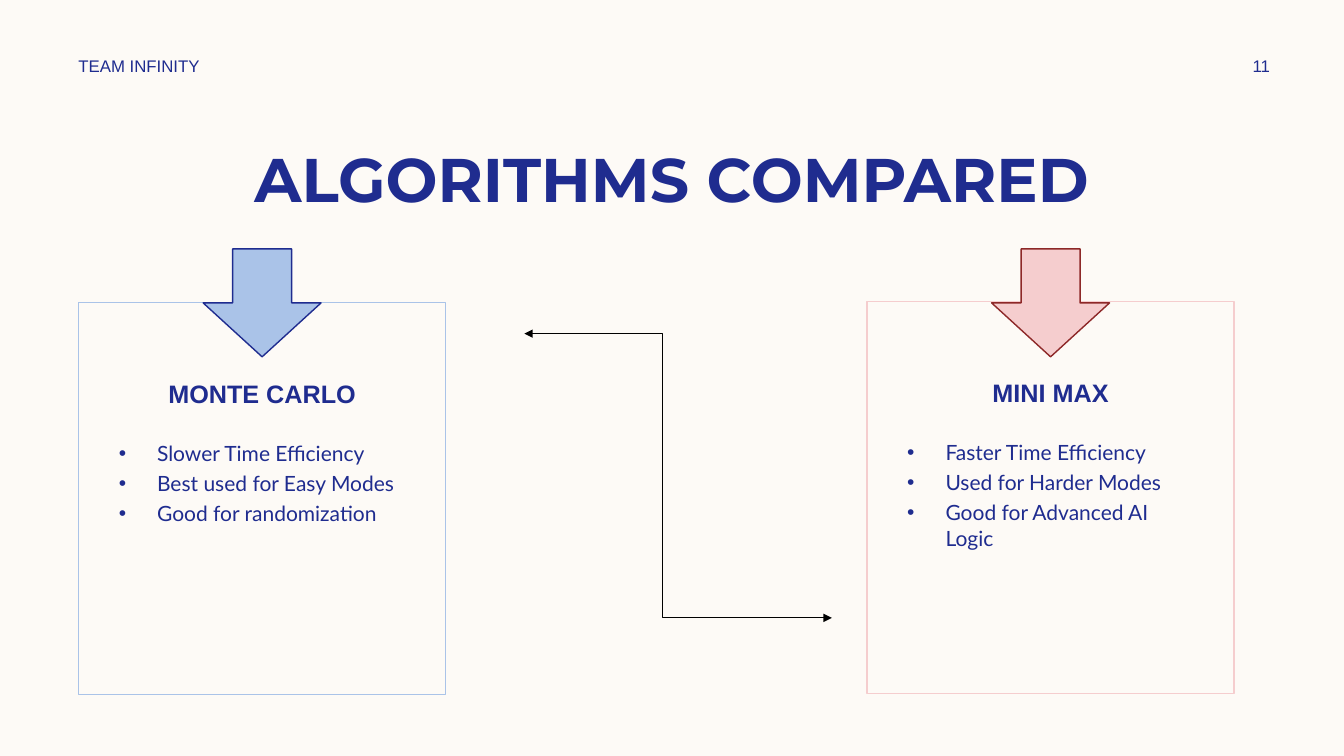
import pptx
import pptx.util
import pptx.dml.color
import pptx.enum.shapes
import pptx.enum.text
import pptx.oxml
import pptx.oxml.ns

Inches = pptx.util.Inches
Pt = pptx.util.Pt
RGBColor = pptx.dml.color.RGBColor
SHAPE = pptx.enum.shapes.MSO_SHAPE
ALIGN = pptx.enum.text.PP_ALIGN
ANCHOR = pptx.enum.text.MSO_ANCHOR

CREAM = RGBColor(0xFD, 0xFA, 0xF6)
NAVY = RGBColor(0x1F, 0x2C, 0x8F)
SKY = RGBColor(0xAA, 0xC3, 0xE8)
PINK = RGBColor(0xF5, 0xCD, 0xCE)
MAROON = RGBColor(0x8D, 0x28, 0x28)
BLACK = RGBColor(0, 0, 0)

CARD_WIDTH = 3.64
ARROW_WIDTH = 1.17


def add_span(para, text, size, font, bold=False):
    span = para.add_run()
    span.text = text
    span.font.size = Pt(size)
    span.font.name = font
    span.font.bold = bold
    span.font.color.rgb = NAVY


def add_box(page, left, top, width, height, anchor=ANCHOR.TOP):
    box = page.shapes.add_textbox(Inches(left), Inches(top), Inches(width), Inches(height))
    box.text_frame.word_wrap = True
    box.text_frame.vertical_anchor = anchor
    return box.text_frame


def add_label(page, text, place, size, font, align, anchor, bold=False):
    para = add_box(page, *place, anchor).paragraphs[0]
    para.alignment = align
    add_span(para, text, size, font, bold)


def add_outlined(page, kind, left, top, width, height, line, fill=None):
    shape = page.shapes.add_shape(kind, Inches(left), Inches(top), Inches(width), Inches(height))
    shape.shadow.inherit = False
    if fill is None:
        shape.fill.background()
    else:
        shape.fill.solid()
        shape.fill.fore_color.rgb = fill
    shape.line.color.rgb = line
    shape.line.width = Pt(1)
    return shape


def add_bullets(page, left, top, items):
    frame = add_box(page, left, top, 3.03, 2.41)
    for index, item in enumerate(items):
        para = frame.add_paragraph() if index else frame.paragraphs[0]
        para.space_before = Pt(3.6)
        add_span(para, item, 15, "Lato")
        settings = para._p.get_or_add_pPr()
        settings.set("marL", str(Inches(0.38)))
        settings.set("indent", str(Inches(-0.38)))
        namespace = pptx.oxml.ns.nsdecls("a")
        settings.append(pptx.oxml.parse_xml(f'<a:buFont {namespace} typeface="Arial"/>'))
        settings.append(pptx.oxml.parse_xml(f'<a:buChar {namespace} char="•"/>'))


def add_card(page, left, top, heading, items, color, arrow_line):
    frame = add_outlined(page, SHAPE.RECTANGLE, left, top, CARD_WIDTH, 3.89, color).text_frame
    frame.word_wrap = True
    frame.vertical_anchor = ANCHOR.TOP
    frame.margin_top = Inches(0.75)
    para = frame.paragraphs[0]
    para.alignment = ALIGN.CENTER
    add_span(para, heading, 18, "Arial", True)
    add_bullets(page, left + 0.3, top + 1.32, items)
    arrow_left = left + (CARD_WIDTH - ARROW_WIDTH) / 2
    add_outlined(page, SHAPE.DOWN_ARROW, arrow_left, 2.47, ARROW_WIDTH, 1.07, arrow_line, color)


def add_elbow(page, start, end, bend):
    elbow = page.shapes.add_connector(
        pptx.enum.shapes.MSO_CONNECTOR.ELBOW, *map(Inches, start + end))
    elbow.line.color.rgb = BLACK
    elbow.line.width = Pt(0.5)
    namespace = pptx.oxml.ns.nsdecls("a")
    for end_name in ("headEnd", "tailEnd"):
        elbow.line._get_or_add_ln().append(
            pptx.oxml.parse_xml(f'<a:{end_name} {namespace} type="triangle"/>'))
    properties = elbow._element.spPr
    properties.append(pptx.oxml.parse_xml(f'<a:effectLst {namespace}/>'))
    guides = properties.find(".//" + pptx.oxml.ns.qn("a:avLst"))
    guides.append(pptx.oxml.parse_xml(
        f'<a:gd {namespace} name="adj1" fmla="val {round(bend * 100000)}"/>'))


def main():
    deck = pptx.Presentation()
    deck.slide_width = Inches(13.33)
    deck.slide_height = Inches(7.5)
    page = deck.slides.add_slide(deck.slide_layouts[6])
    page.background.fill.solid()
    page.background.fill.fore_color.rgb = CREAM

    add_label(page, "ALGORITHMS COMPARED", (0.83, 1.35, 11.67, 0.84), 44, "Montserrat",
              ALIGN.CENTER, ANCHOR.TOP, True)
    add_label(page, "TEAM INFINITY", (0.68, 0.5, 3.5, 0.3), 12, "Arial",
              ALIGN.LEFT, ANCHOR.MIDDLE)
    add_label(page, "11", (11.97, 0.5, 1.08, 0.3), 12, "Arial",
              ALIGN.CENTER, ANCHOR.MIDDLE)

    add_card(page, 0.78, 3, "MONTE CARLO",
             ["Slower Time Efficiency", "Best used for Easy Modes", "Good for randomization"],
             SKY, NAVY)
    add_card(page, 8.6, 2.99, "MINI MAX",
             ["Faster Time Efficiency", "Used for Harder Modes", "Good for Advanced AI Logic"],
             PINK, MAROON)
    add_elbow(page, (5.2, 3.31), (8.25, 6.13), 0.45)
    deck.save("out.pptx")


if __name__ == "__main__":
    main()
